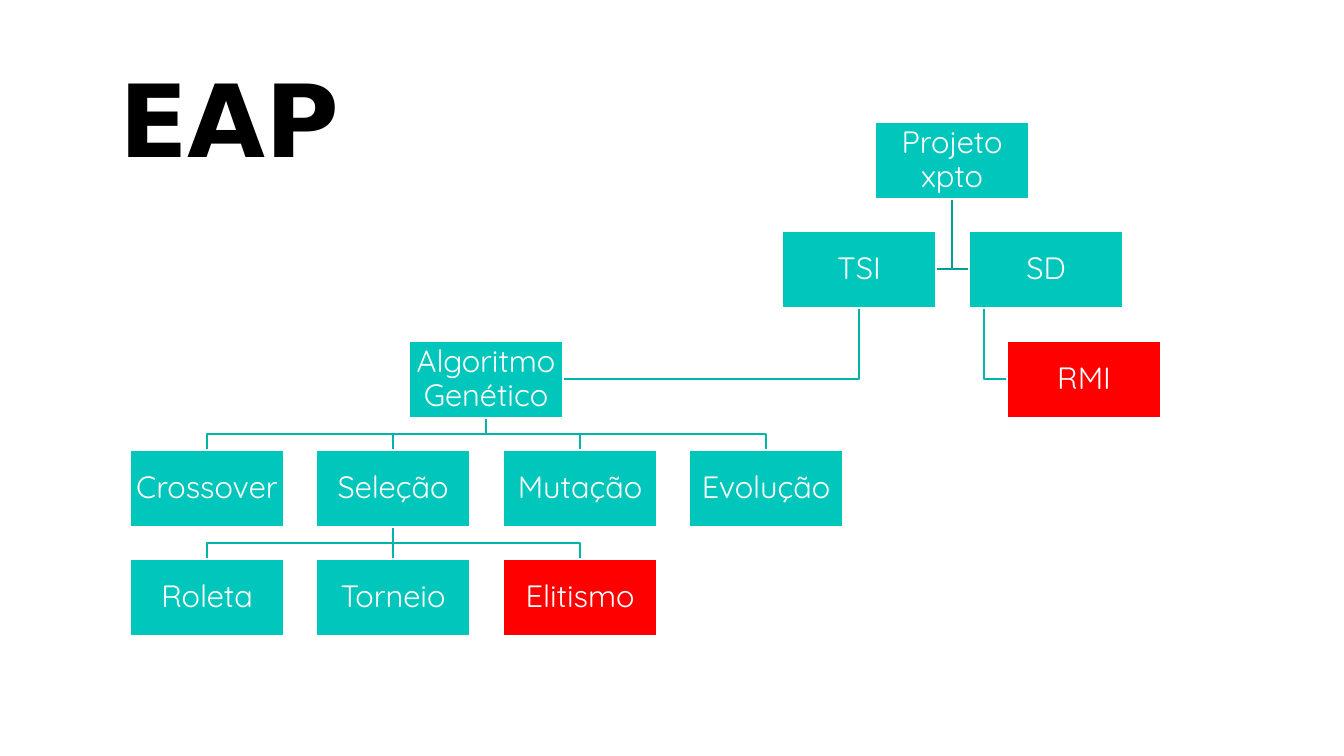
"""Build the EAP slide, a work breakdown tree of boxes and elbow links."""
from dataclasses import dataclass
from typing import Any

from lxml import etree
from pptx import Presentation
from pptx import util as u
from pptx.dml.color import RGBColor
from pptx.enum import shapes, text
from pptx.oxml.ns import qn

SCALE = 914400 / 100.8
WIDE, HIGH = 154, 77
TOP, STEP = 122, 109.3
TEAL = RGBColor(0x00, 0xC6, 0xBB)
RED = RGBColor(0xFF, 0x00, 0x00)
WHITE = RGBColor(0xFF, 0xFF, 0xFF)
BLACK = RGBColor(0x00, 0x00, 0x00)
DARK = RGBColor(0x00, 0x9F, 0x96)
MID = RGBColor(0x00, 0xB4, 0xAA)
EDGE = u.Pt(1.25)
INSET = u.Inches(0.02)

FRAME = {
    "word_wrap": True, "vertical_anchor": text.MSO_ANCHOR.MIDDLE,
    "margin_left": INSET, "margin_right": INSET,
    "margin_top": INSET, "margin_bottom": INSET,
}
LABEL = {"alignment": text.PP_ALIGN.CENTER, "line_spacing": 0.9}
SMALL = {"name": "Quicksand", "size": u.Pt(22)}
LARGE = {"name": "DejaVu Sans", "size": u.Pt(72), "bold": True}
GROW = {
    "word_wrap": True, "vertical_anchor": text.MSO_ANCHOR.TOP,
    "auto_size": text.MSO_AUTO_SIZE.SHAPE_TO_FIT_TEXT,
}


@dataclass(frozen=True)
class Box:
    """A task box, placed by its left edge and row."""
    name: str
    left: int
    row: int
    fill: RGBColor = TEAL

    @property
    def top(self) -> int:
        """Give the top edge in pixels."""
        return TOP + round(STEP * self.row)

    @property
    def mid(self) -> int:
        """Give the centre across in pixels."""
        return self.left + WIDE // 2


@dataclass(frozen=True)
class Link:
    """A line from the foot of one box to the head or side of another."""
    start: Box
    end: Box
    side: bool = False
    shift: int = 0
    tint: RGBColor = MID

    def route(self) -> list[tuple[int, int]]:
        """List the corner points of the line."""
        foot, base = self.start.mid + self.shift, self.start.top + HIGH
        if self.side:
            turn = self.end.top + HIGH // 2
            edge = self.end.left + (WIDE if self.end.left < foot else 0)
            return [(foot, base), (foot, turn), (edge, turn)]
        if foot == self.end.mid:
            return [(foot, base), (foot, self.end.top)]
        turn = (base + self.end.top) // 2
        return [(foot, base), (foot, turn), (self.end.mid, turn), (self.end.mid, self.end.top)]


COLS = [130, 316, 503, 689]
ROOT = Box("Projeto xpto", 875, 0)
TSI, SD = Box("TSI", 782, 1), Box("SD", 969, 1)
GENE, RMI = Box("Algoritmo Genético", 409, 2), Box("RMI", 1007, 2, RED)
STAGES = [Box(name, left, 3) for name, left in
          zip(("Crossover", "Seleção", "Mutação", "Evolução"), COLS)]
PICKS = [Box(name, left, 4, fill) for name, left, fill in
         zip(("Roleta", "Torneio", "Elitismo"), COLS, (TEAL, TEAL, RED))]
BOXES = [ROOT, TSI, SD, GENE, RMI, *STAGES, *PICKS]
LINKS = [
    *(Link(ROOT, end, True, tint=DARK) for end in (TSI, SD)),
    Link(TSI, GENE, True), Link(SD, RMI, True, shift=-62),
    *(Link(GENE, end) for end in STAGES),
    *(Link(STAGES[1], end) for end in PICKS),
]


def emu(size: float) -> int:
    """Turn pixels into EMU."""
    return round(size * SCALE)


def style(item: Any, looks: dict[str, Any]) -> None:
    """Set each format value on an item."""
    for key, value in looks.items():
        setattr(item, key, value)


def ink(font: Any, looks: dict[str, Any], tint: RGBColor) -> None:
    """Format and colour a font."""
    style(font, looks)
    font.color.rgb = tint


def draw_link(group: Any, link: Link) -> None:
    """Draw one link as a straight or bent line."""
    first, *rest = link.route()
    if len(rest) == 1:
        ends = [emu(size) for size in (*first, *rest[0])]
        line = group.add_connector(shapes.MSO_CONNECTOR.STRAIGHT, *ends)
        etree.SubElement(line._element.spPr, qn("a:effectLst"))
    else:
        pen = group.build_freeform(*first, scale=SCALE)
        line = pen.add_line_segments(rest, close=False).convert_to_shape()
        line.fill.background()
        line.shadow.inherit = False
    line.line.color.rgb = link.tint
    line.line.width = EDGE


def draw_box(group: Any, box: Box) -> None:
    """Draw one task box with its label."""
    place = [emu(size) for size in (box.left, box.top, WIDE, HIGH)]
    rect = group.add_shape(shapes.MSO_SHAPE.RECTANGLE, *place)
    rect.shadow.inherit = False
    rect.fill.solid()
    rect.fill.fore_color.rgb = box.fill
    rect.line.color.rgb = WHITE
    rect.line.width = EDGE
    frame = rect.text_frame
    style(frame, FRAME)
    para = frame.paragraphs[0]
    para.text = box.name
    style(para, LABEL)
    ink(para.runs[0].font, SMALL, WHITE)


def draw_title(title: Any) -> None:
    """Place and format the slide title."""
    style(title, {"left": emu(109), "top": emu(52), "width": emu(462), "height": emu(132)})
    frame = title.text_frame
    frame.text = "EAP"
    style(frame, GROW)
    para = frame.paragraphs[0]
    para.alignment = text.PP_ALIGN.LEFT
    ink(para.runs[0].font, LARGE, BLACK)


def main() -> None:
    """Build and save the slide."""
    deck = Presentation()
    style(deck, {"slide_width": emu(1344), "slide_height": emu(756)})
    slide = deck.slides.add_slide(deck.slide_layouts[5])
    draw_title(slide.shapes.title)
    tree = slide.shapes.add_group_shape().shapes
    for link in LINKS:
        draw_link(tree, link)
    for box in BOXES:
        draw_box(tree, box)
    deck.save("out.pptx")


main()
